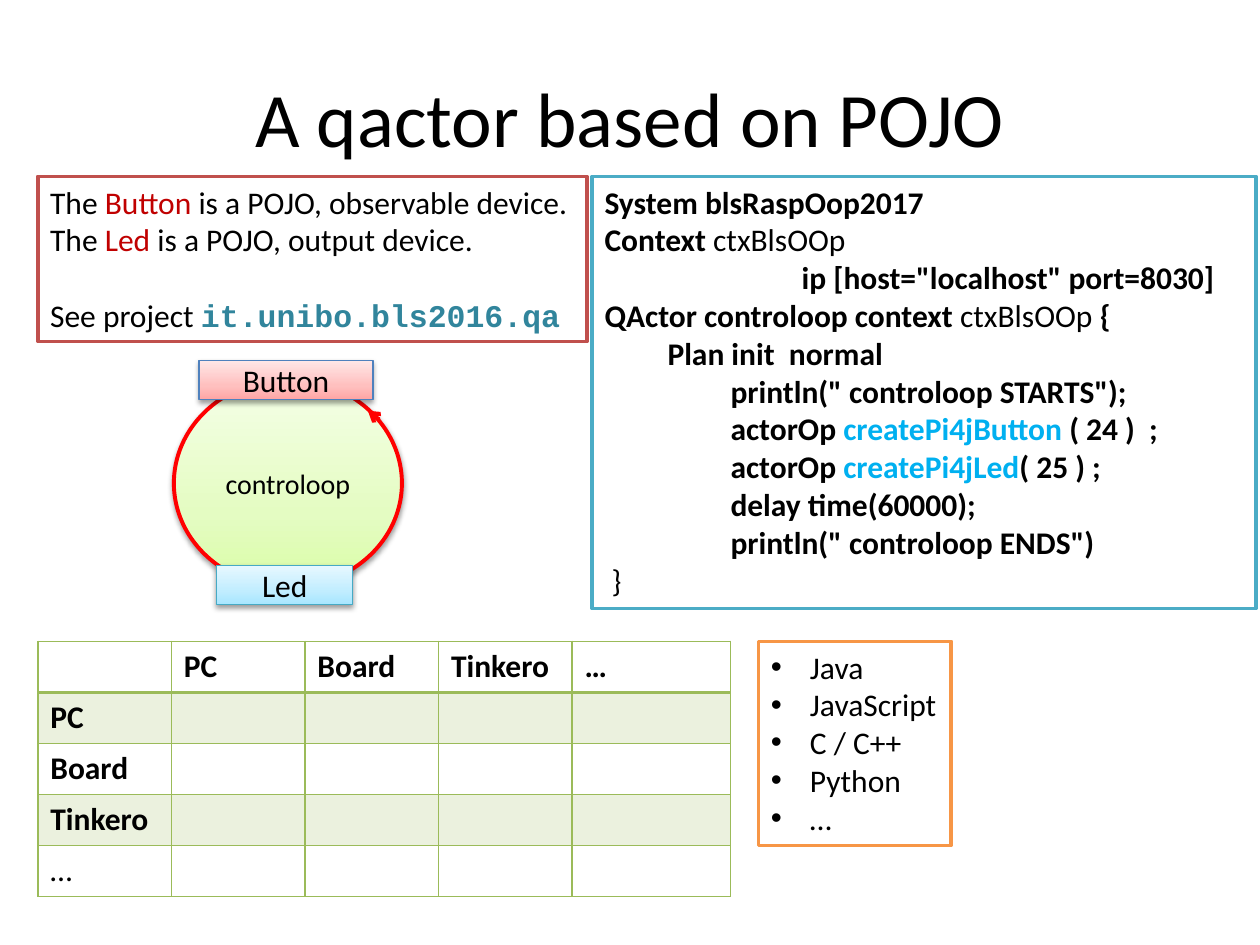
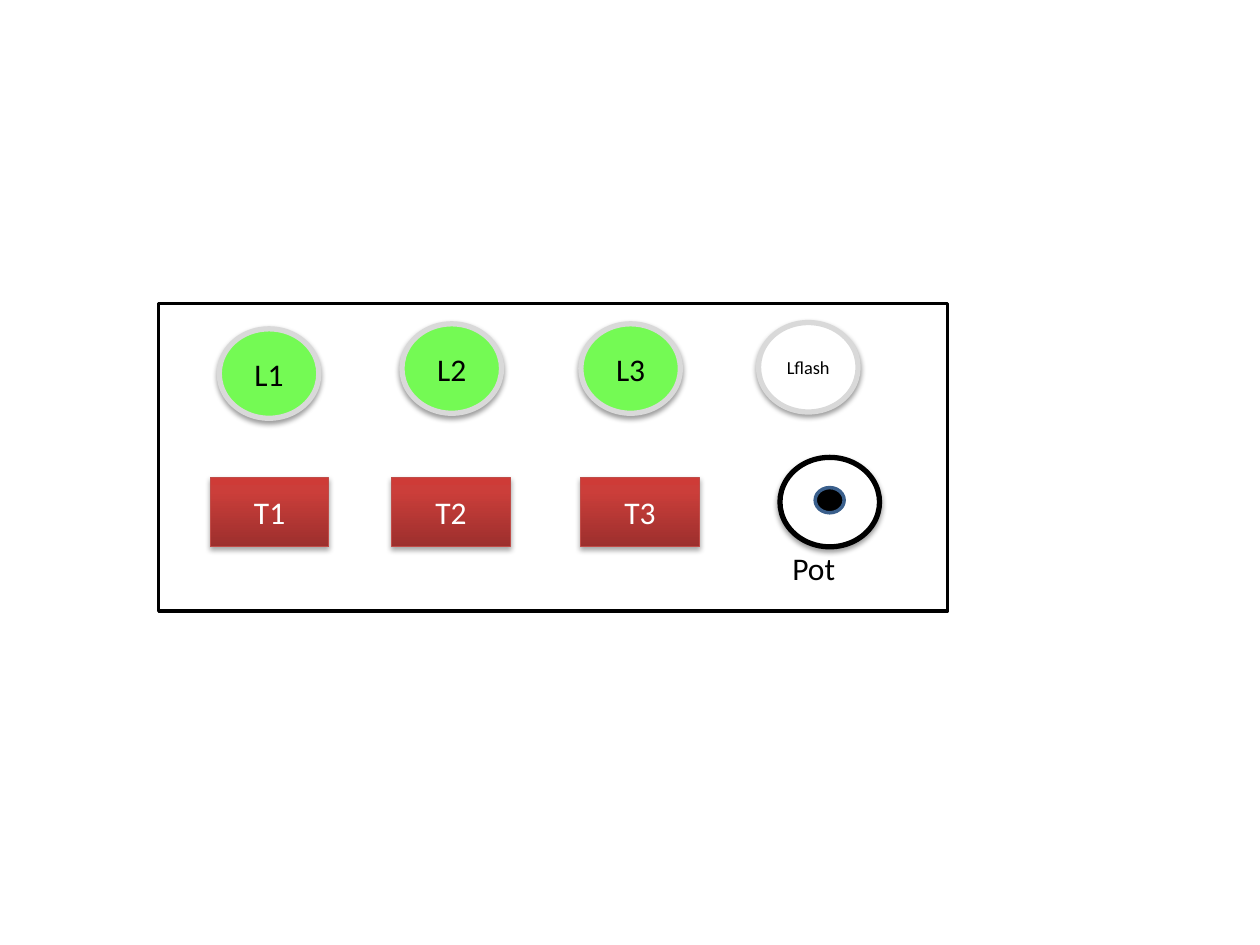
from collections import namedtuple

from lxml import etree
from pptx import Presentation
from pptx import util as u
from pptx.dml.color import RGBColor
from pptx.enum import shapes, text
from pptx.oxml import parse_xml
from pptx.oxml.ns import nsdecls, qn

# Grid shared by the slides: 100 columns by 75 rows
WIDTH, HEIGHT = u.Inches(10), u.Inches(7.5)
COL, ROW = WIDTH / 100, HEIGHT / 75

FONT, MONO = "Calibri", "Courier New"
BLACK, WHITE = "000000", "FFFFFF"
DARK_RED, TEAL, SKY, RED = "C00000", "31859C", "00B0F0", "FF0000"
GREEN, PALE_GREEN, LIT, RIM = "9BBB59", "EBF1DE", "74FA54", "D9D9D9"

# Gradients run from bottom to top: (position %, colour)
LIME_FADE = [(0, "DAFDA7"), (35, "E4FCC2"), (100, "F5FFE7")]
PINK_FADE = [(0, "FFA6A5"), (35, "FFC0BF"), (100, "FFE7E7")]
BLUE_FADE = [(0, "A7E6FF"), (35, "C1EDFF"), (100, "E7F8FF")]
RED_FADE = [(0, "9C2F2D"), (80, "CB3E3A"), (100, "CE3B37")]

RECT, OVAL = shapes.MSO_SHAPE.RECTANGLE, shapes.MSO_SHAPE.OVAL
Box = namedtuple("Box", "x y w h")


def rgb(value):
    return RGBColor.from_string(value)


def within(box, x, y, w, h):
    """Box at an offset from the corner of another box."""
    return Box(box.x + x, box.y + y, w, h)


def emu(box):
    return [int(v * unit) for v, unit in zip(box, (COL, ROW, COL, ROW))]


def add_run(p, words, color=BLACK, **fmt):
    r = p.add_run()
    r.text = words
    for name, value in {"size": u.Pt(18), "name": FONT, **fmt}.items():
        setattr(r.font, name, value)
    r.font.color.rgb = rgb(color)


def outline(sp, color, width):
    sp.line.color.rgb = rgb(color)
    sp.line.width = u.Pt(width)


def paint(sp, fill):
    """Fill with one colour, or with the stops of a gradient."""
    if isinstance(fill, str):
        sp.fill.solid()
        sp.fill.fore_color.rgb = rgb(fill)
        return
    sp.fill.gradient()
    sp.fill.gradient_angle = 90
    stops = sp._element.spPr.find(".//" + qn("a:gsLst"))
    for stop in list(stops):
        stops.remove(stop)
    for pos, color in fill:
        stop = etree.SubElement(stops, qn("a:gs"), pos=str(pos * 1000))
        etree.SubElement(stop, qn("a:srgbClr"), val=color)


def add_shadow(sp, alpha):
    effects = sp._element.spPr.find(qn("a:effectLst"))
    effects.append(parse_xml(
        f'<a:outerShdw {nsdecls("a")} blurRad="{u.Pt(3.1)}" dist="{u.Pt(1.6)}" '
        f'dir="5400000" rotWithShape="0"><a:srgbClr val="{BLACK}">'
        f'<a:alpha val="{alpha * 1000}"/></a:srgbClr></a:outerShdw>'))


def add_part(parent, kind, box, fill, line, width, label="", shadow=38,
             color=BLACK, size=18):
    """Preset shape with an optional centred label."""
    sp = parent.shapes.add_shape(kind, *emu(box))
    sp.shadow.inherit = False
    paint(sp, fill)
    outline(sp, line, width)
    if shadow:
        add_shadow(sp, shadow)
    if label:
        tf = sp.text_frame
        tf.vertical_anchor = text.MSO_ANCHOR.MIDDLE
        p = tf.paragraphs[0]
        p.alignment = text.PP_ALIGN.CENTER
        add_run(p, label, color, size=u.Pt(size))
    return sp


def add_text(s, box, paragraphs, border=None):
    """Text box; a paragraph is a list of runs, each (words, formats)."""
    sp = s.shapes.add_textbox(*emu(box))
    if border:
        paint(sp, WHITE)
        outline(sp, border, 2)
    tf = sp.text_frame
    tf.word_wrap = False
    tf.auto_size = text.MSO_AUTO_SIZE.SHAPE_TO_FIT_TEXT
    for i, runs in enumerate(paragraphs):
        p = tf.add_paragraph() if i else tf.paragraphs[0]
        for words, fmt in runs:
            add_run(p, words, **fmt)
    return tf.paragraphs


def add_notes_box(s, box):
    accent = {"color": DARK_RED}
    lines = add_text(s, box, [
        [("The ", {}), ("Button ", accent), ("is a POJO, observable device.", {})],
        [("The ", {}), ("Led ", accent), ("is a POJO, output device.", {})],
        [("See project ", {}),
         ("it.unibo.bls2016.qa", {"name": MONO, "color": TEAL, "bold": True})],
    ], "C0504D")
    lines[-1].space_before = u.Pt(21.6)


def add_code_box(s, box):
    bold = {"bold": True}
    call = {"bold": True, "color": SKY}
    # (indent level, runs)
    code = [
        (0, [("System blsRaspOop2017", bold)]),
        (0, [("Context ", bold), ("ctxBlsOOp", {})]),
        (0, [('\t          ip [host="localhost" port=8030]', bold)]),
        (0, [("QActor controloop context ", bold), ("ctxBlsOOp ", {}), ("{", bold)]),
        (1, [("Plan init  normal", bold)]),
        (2, [('println(" controloop STARTS");', bold)]),
        (2, [("actorOp ", bold), ("createPi4jButton ", call), ("( 24 )  ;", bold)]),
        (2, [("actorOp ", bold), ("createPi4jLed", call), ("( 25 ) ;", bold)]),
        (2, [("delay time(60000);", bold)]),
        (2, [('println(" controloop ENDS")', bold)]),
        (0, [(" }", {})]),
    ]
    lines = add_text(s, box, [runs for _, runs in code], "4BACC6")
    for p, (level, _) in zip(lines, code):
        p.level = level
        pPr = p._p.get_or_add_pPr()
        pPr.set("marL", str(u.Inches(level / 2)))
        tabs = etree.SubElement(pPr, qn("a:tabLst"))
        etree.SubElement(tabs, qn("a:tab"), pos=str(u.Inches(1)), algn="l")


def add_language_list(s, box):
    names = ["Java", "JavaScript", "C / C++", "Python", "…"]
    for p in add_text(s, box, [[(name, {})] for name in names], "F79646"):
        pPr = p._p.get_or_add_pPr()
        pPr.set("marL", str(u.Inches(0.31)))
        pPr.set("indent", str(-u.Inches(0.31)))
        etree.SubElement(pPr, qn("a:buFont"), typeface="Arial")
        etree.SubElement(pPr, qn("a:buChar"), char="•")


def add_control_loop(s, box):
    """Loop with its arrowhead, the button on top and the led below."""
    grp = s.shapes.add_group_shape()
    add_part(grp, OVAL, within(box, 0, 1.5, box.w, 16.5), LIME_FADE, RED, 2.25,
             "controloop", size=16)

    x1, y1, dx, dy = emu(within(box, 16.3, 4.7, -0.9, -0.7))
    arrow = grp.shapes.add_connector(
        shapes.MSO_CONNECTOR.STRAIGHT, x1, y1, x1 + dx, y1 + dy)
    outline(arrow, RED, 2.25)
    etree.SubElement(arrow.line._get_or_add_ln(), qn("a:tailEnd"), type="arrow")
    etree.SubElement(arrow._element.spPr, qn("a:effectLst"))

    add_part(grp, RECT, within(box, 2, 0, 13.8, 3.1), PINK_FADE, "4F81BD", 0.75,
             "Button")
    add_part(grp, RECT, within(box, 3.4, 16.3, 10.8, 3.1), BLUE_FADE, "46AAC5",
             0.75, "Led")


def add_cell_borders(cell, bottom):
    tcPr = cell._tc.get_or_add_tcPr()
    for side in "LRTB":
        width = bottom if side == "B" else 1
        tcPr.append(parse_xml(
            f'<a:ln{side} {nsdecls("a")} w="{u.Pt(width)}"><a:solidFill>'
            f'<a:srgbClr val="{GREEN}"/></a:solidFill></a:ln{side}>'))


def add_platform_table(s, box):
    names = ["", "PC", "Board", "Tinkero", "…"]
    count = len(names)
    table = s.shapes.add_table(count, count, *emu(box)).table
    table.first_row = table.horz_banding = False
    for i in range(count):
        table.columns[i].width = int((10.6 if i < count - 1 else 12.6) * COL)
        table.rows[i].height = int(box.h / count * ROW)
        for j in range(count):
            cell = table.cell(i, j)
            # The heading row has a heavier rule below it
            add_cell_borders(cell, 1 if i else 2)
            if i % 2:
                cell.fill.solid()
                cell.fill.fore_color.rgb = rgb(PALE_GREEN)
            else:
                cell.fill.background()
            label = names[max(i, j)] if 0 in (i, j) else ""
            if label:
                add_run(cell.text_frame.paragraphs[0], label,
                        bold=i < count - 1)


def add_title(s, words, box):
    title = s.shapes.title
    title.left, title.top, title.width, title.height = emu(box)
    tf = title.text_frame
    tf.vertical_anchor = text.MSO_ANCHOR.MIDDLE
    p = tf.paragraphs[0]
    p.alignment = text.PP_ALIGN.CENTER
    add_run(p, words, size=u.Pt(44))


def add_panel(s, box):
    """Control panel: lamps above, buttons and a knob below."""
    add_part(s, RECT, box, WHITE, BLACK, 2, shadow=0)

    # Buttons
    for i, x in enumerate((4.1, 18.5, 33.5), 1):
        add_part(s, RECT, within(box, x, 13.8, 9.4, 5.5), RED_FADE, "BF4C48",
                 0.75, f"T{i}", shadow=35, color=WHITE)

    # Lamps
    for i, (x, y) in enumerate(((4.8, 2), (19.3, 1.6), (33.5, 1.6)), 1):
        add_part(s, OVAL, within(box, x, y, 7.9, 7.1), LIT, RIM, 3, f"L{i}")
    add_part(s, OVAL, within(box, 47.6, 1.5, 7.9, 7.1), WHITE, RIM, 3, "Lflash",
             size=10.5)

    # Knob
    knob = within(box, 49.3, 12.2, 7.9, 7.1)
    add_part(s, OVAL, knob, WHITE, BLACK, 3)
    add_part(s, OVAL, within(knob, 2.8, 2.4, 2.3, 2), BLACK, "3A5F8C", 2, shadow=0)
    add_text(s, within(knob, 0, 6.8, 5.4, 4), [[("Pot", {})]])


def main():
    prs = Presentation()
    prs.slide_width, prs.slide_height = WIDTH, HEIGHT
    title_only, blank = prs.slide_layouts[5], prs.slide_layouts[6]

    s = prs.slides.add_slide(title_only)
    add_control_loop(s, Box(13.8, 28.6, 18.1, 19.4))
    add_notes_box(s, Box(3, 14, 43.6, 13.1))
    add_title(s, "A qactor based on POJO", Box(5, 3, 90, 12.5))
    add_code_box(s, Box(47, 14, 52.7, 34.3))
    add_platform_table(s, Box(3, 50.9, 55, 20.25))
    add_language_list(s, Box(60.2, 50.9, 15.3, 16.2))

    s = prs.slides.add_slide(blank)
    add_panel(s, Box(12.6, 24.1, 62.6, 24.4))

    prs.save("out.pptx")


if __name__ == "__main__":
    main()
